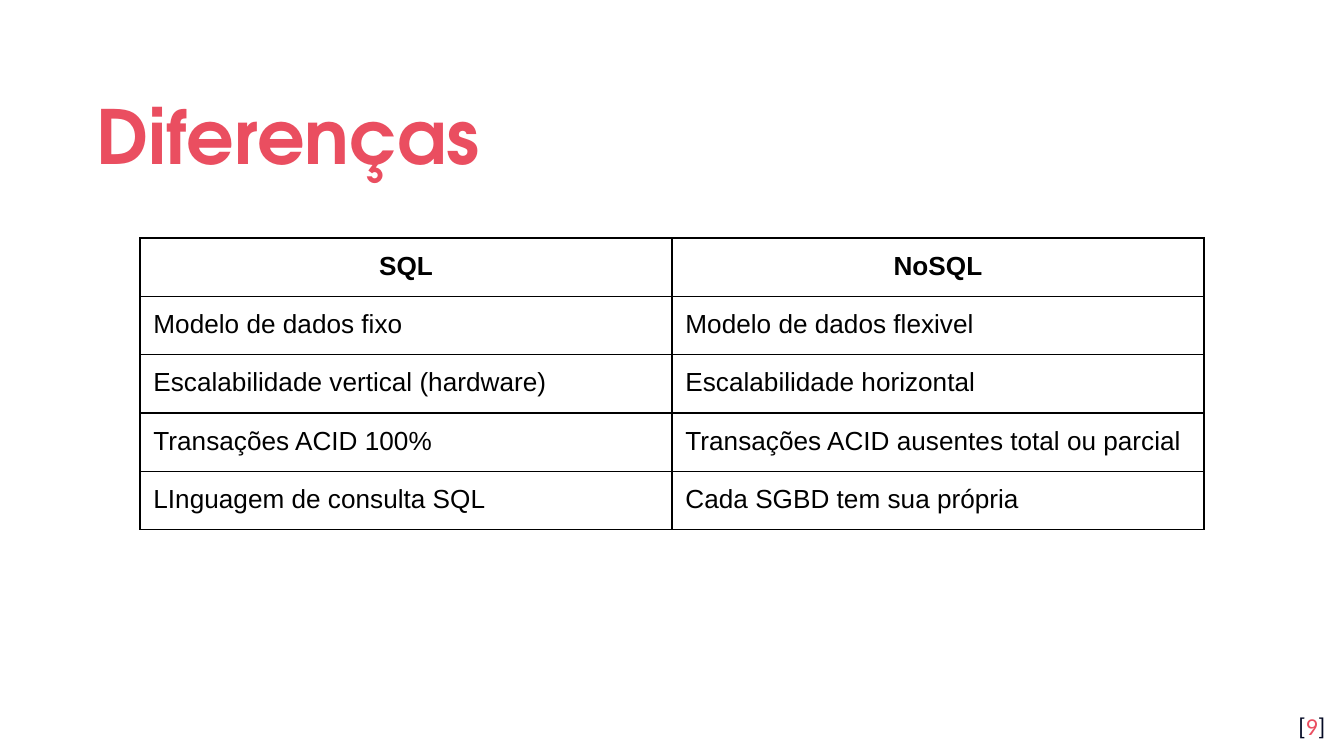
from lxml import etree
from pptx import Presentation
from pptx import util as u
from pptx.dml import color
from pptx.enum import text
from pptx.oxml import ns

TITLE = "Diferenças"
ROWS = [
    ("SQL", "NoSQL"),
    ("Modelo de dados fixo", "Modelo de dados flexivel"),
    ("Escalabilidade vertical (hardware)", "Escalabilidade horizontal"),
    ("Transações ACID 100%", "Transações ACID ausentes total ou parcial"),
    ("LInguagem de consulta SQL", "Cada SGBD tem sua própria"),
]
PAGE_NUMBER = [("[", "040A24"), ("9", "EA4E60"), ("]", "040A24")]

TABLE_LEFT, TABLE_TOP = 75, 127.5
COLUMN_WIDTH, ROW_HEIGHT = 285, 30
INSET = 7.2
BORDER_WIDTH = 0.75


def paint(target, hex_color):
    target.rgb = color.RGBColor.from_string(hex_color)


def add_run(paragraph, content, font_name, size, hex_color, bold=False):
    run = paragraph.add_run()
    run.text = content
    run.font.name = font_name
    run.font.size = u.Pt(size)
    run.font.bold = bold
    paint(run.font.color, hex_color)


def set_insets(frame):
    for side in ("left", "top", "right", "bottom"):
        setattr(frame, "margin_" + side, u.Pt(INSET))


def place(shape, left, top, width, height):
    shape.left, shape.top = u.Pt(left), u.Pt(top)
    shape.width, shape.height = u.Pt(width), u.Pt(height)


def add_borders(cell, hex_color):
    properties = cell._tc.get_or_add_tcPr()
    for position, side in enumerate(("lnL", "lnR", "lnT", "lnB")):
        line = etree.Element(ns.qn("a:" + side), w=str(u.Pt(BORDER_WIDTH)))
        fill = etree.SubElement(line, ns.qn("a:solidFill"))
        etree.SubElement(fill, ns.qn("a:srgbClr"), val=hex_color)
        properties.insert(position, line)


def add_title(slide):
    title = slide.shapes.title
    place(title, 44.64, 35.28, 631.44, 66.24)
    frame = title.text_frame
    set_insets(frame)
    frame.word_wrap = True
    frame.auto_size = text.MSO_AUTO_SIZE.NONE
    frame.vertical_anchor = text.MSO_ANCHOR.MIDDLE
    paragraph = frame.paragraphs[0]
    paragraph.alignment = text.PP_ALIGN.LEFT
    paragraph.line_spacing = 1.15
    add_run(paragraph, TITLE, "TeX Gyre Adventor", 40, "EA4E60", True)


def add_page_number(slide):
    box = slide.shapes.add_textbox(u.Pt(673.92), u.Pt(373.68), u.Pt(43.2), u.Pt(30.96))
    set_insets(box.text_frame)
    box.text_frame.word_wrap = True
    paragraph = box.text_frame.paragraphs[0]
    paragraph.alignment = text.PP_ALIGN.RIGHT
    for content, hex_color in PAGE_NUMBER:
        add_run(paragraph, content, "Calibri", 13, hex_color)


def add_comparison(slide):
    columns = len(ROWS[0])
    table = slide.shapes.add_table(
        len(ROWS), columns, u.Pt(TABLE_LEFT), u.Pt(TABLE_TOP),
        u.Pt(COLUMN_WIDTH * columns), u.Pt(ROW_HEIGHT * len(ROWS)),
    ).table
    table.first_row = table.horz_banding = False
    for row_index, row in enumerate(ROWS):
        header = row_index == 0
        for column_index, content in enumerate(row):
            cell = table.cell(row_index, column_index)
            cell.fill.background()
            set_insets(cell)
            add_borders(cell, "000000")
            paragraph = cell.text_frame.paragraphs[0]
            paragraph.alignment = text.PP_ALIGN.CENTER if header else text.PP_ALIGN.LEFT
            add_run(paragraph, content, "Arial", 14, "000000", header)


def main():
    presentation = Presentation()
    presentation.slide_width, presentation.slide_height = u.Pt(720), u.Pt(405)
    slide = presentation.slides.add_slide(presentation.slide_layouts[5])
    slide.background.fill.solid()
    paint(slide.background.fill.fore_color, "FFFFFF")
    add_title(slide)
    add_page_number(slide)
    add_comparison(slide)
    presentation.save("out.pptx")


if __name__ == "__main__":
    main()
